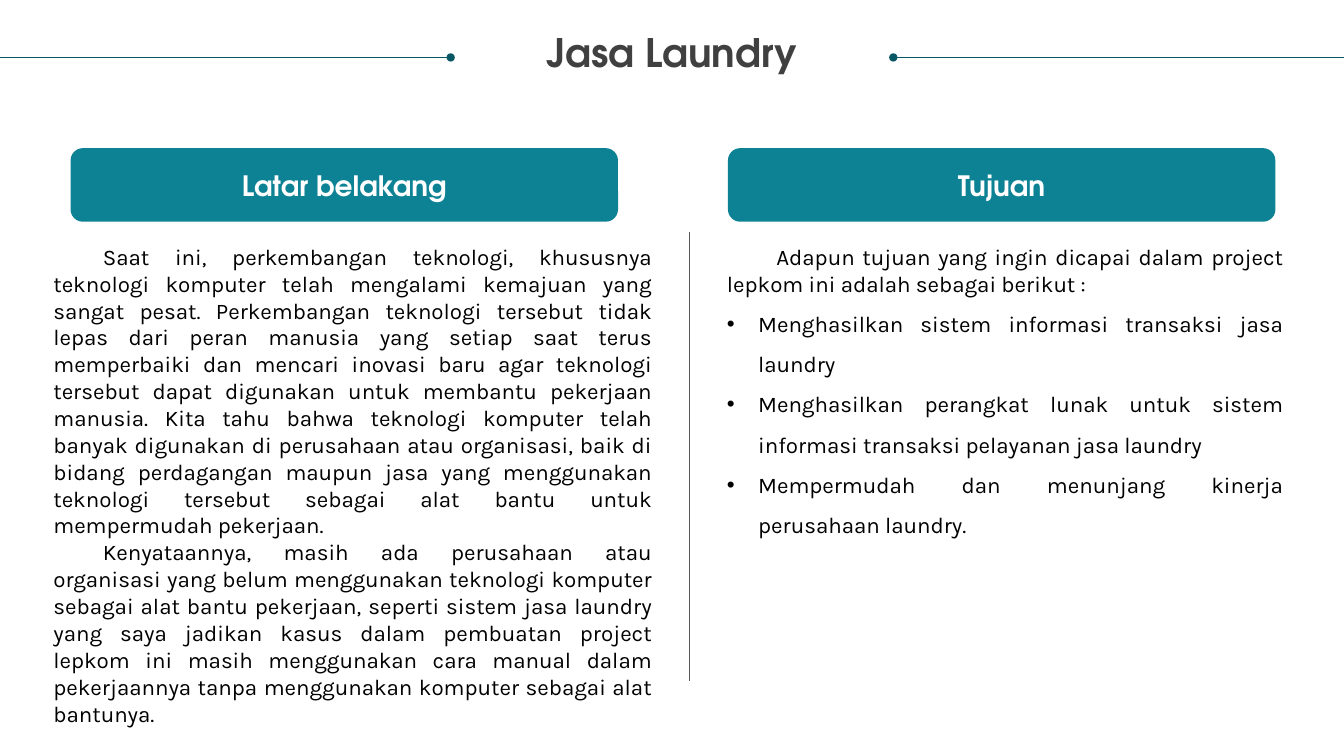
import pptx
import pptx.util
import pptx.dml.color
import pptx.enum.shapes
import pptx.enum.text
import pptx.oxml.ns
import lxml.etree

Inches = pptx.util.Inches
Pt = pptx.util.Pt
ALIGN = pptx.enum.text.PP_ALIGN


def color(hex_code):
    return pptx.dml.color.RGBColor.from_string(hex_code)


def add_xml(parent, tag, **attributes):
    return lxml.etree.SubElement(parent, pptx.oxml.ns.qn(tag), **attributes)


class SlideBuilder:
    """Holds the slide's style and draws each kind of element."""

    heading_font, body_font = "TeX Gyre Adventor", "Karla"
    teal, dark_teal = "0D8295", "085764"
    first_indent, bullet_indent = 0.49, 0.31

    def __init__(self, slide):
        self.slide = slide

    def format_runs(self, paragraph, font_name, size, hex_code, bold=False):
        for run in paragraph.runs:
            run.font.name = font_name
            run.font.size = Pt(size)
            run.font.bold = bold
            run.font.color.rgb = color(hex_code)

    def text_frame(self, left, top, width, height):
        box = self.slide.shapes.add_textbox(
            Inches(left), Inches(top), Inches(width), Inches(height))
        frame = box.text_frame
        frame.word_wrap = True
        frame.margin_left = frame.margin_right = 0
        frame.margin_top = frame.margin_bottom = 0
        return frame

    def title(self, text, left, top, width, height):
        paragraph = self.text_frame(left, top, width, height).paragraphs[0]
        paragraph.text = text
        paragraph.alignment = ALIGN.CENTER
        paragraph.line_spacing = 0.9
        self.format_runs(paragraph, self.heading_font, 28, "404040", bold=True)

    def line(self, start, end, hex_code, dot_at_end=False):
        connector = self.slide.shapes.add_connector(
            pptx.enum.shapes.MSO_CONNECTOR.STRAIGHT,
            *[Inches(value) for value in (*start, *end)])
        connector.line.color.rgb = color(hex_code)
        connector.line.width = Pt(0.5)
        if dot_at_end:
            add_xml(connector.line._get_or_add_ln(), "a:tailEnd", type="oval")
        add_xml(connector._element.spPr, "a:effectLst")

    def banner(self, text, left, top, width, height):
        banner = self.slide.shapes.add_shape(
            pptx.enum.shapes.MSO_SHAPE.ROUNDED_RECTANGLE,
            Inches(left), Inches(top), Inches(width), Inches(height))
        banner.shadow.inherit = False
        banner.fill.solid()
        banner.fill.fore_color.rgb = color(self.teal)
        banner.line.fill.background()
        banner.text_frame.vertical_anchor = pptx.enum.text.MSO_ANCHOR.MIDDLE
        paragraph = banner.text_frame.paragraphs[0]
        paragraph.text = text
        paragraph.alignment = ALIGN.CENTER
        self.format_runs(paragraph, self.heading_font, 20, "FFFFFF", bold=True)

    def body(self, left, top, width, height, prose, bullets=()):
        frame = self.text_frame(left, top, width, height)
        frame.text = "\n".join([*prose, *bullets])
        for index, paragraph in enumerate(frame.paragraphs):
            paragraph.alignment = ALIGN.JUSTIFY
            self.format_runs(paragraph, self.body_font, 16, "000000")
            properties = paragraph._p.get_or_add_pPr()
            if index < len(prose):
                properties.set("indent", str(Inches(self.first_indent)))
            else:
                paragraph.line_spacing = 1.5
                properties.set("marL", str(Inches(self.bullet_indent)))
                properties.set("indent", str(-Inches(self.bullet_indent)))
                add_xml(properties, "a:buFont", typeface="Arial")
                add_xml(properties, "a:buChar", char="•")


background = [
    "Saat ini, perkembangan teknologi, khususnya teknologi komputer telah "
    "mengalami kemajuan yang sangat pesat. Perkembangan teknologi tersebut "
    "tidak lepas dari peran manusia yang setiap saat terus memperbaiki dan "
    "mencari inovasi baru agar teknologi tersebut dapat digunakan untuk "
    "membantu pekerjaan manusia. Kita tahu bahwa teknologi komputer telah "
    "banyak digunakan di perusahaan atau organisasi, baik di bidang "
    "perdagangan maupun jasa yang menggunakan teknologi tersebut sebagai "
    "alat bantu untuk mempermudah pekerjaan.",
    "Kenyataannya, masih ada perusahaan atau organisasi yang belum "
    "menggunakan teknologi komputer sebagai alat bantu pekerjaan, seperti "
    "sistem jasa laundry yang saya jadikan kasus dalam pembuatan project "
    "lepkom ini masih menggunakan cara manual dalam pekerjaannya tanpa "
    "menggunakan komputer sebagai alat bantunya.",
]
goal_intro = ["Adapun tujuan yang ingin dicapai dalam project lepkom ini "
              "adalah sebagai berikut :"]
goals = [
    "Menghasilkan sistem informasi transaksi jasa laundry",
    "Menghasilkan perangkat lunak untuk sistem informasi transaksi "
    "pelayanan jasa laundry",
    "Mempermudah dan menunjang kinerja perusahaan laundry.",
]

presentation = pptx.Presentation()
presentation.slide_width = Inches(13.33)
presentation.slide_height = Inches(7.5)
builder = SlideBuilder(
    presentation.slides.add_slide(presentation.slide_layouts[6]))

builder.title("Jasa Laundry", 0.25, 0.33, 12.83, 0.73)
for edge, dot in ((0, 4.47), (13.33, 8.86)):
    builder.line((edge, 0.57), (dot, 0.57), builder.dark_teal, dot_at_end=True)
for heading, left in (("Latar belakang", 0.7), ("Tujuan", 7.22)):
    builder.banner(heading, left, 1.47, 5.43, 0.73)
builder.line((6.84, 2.3), (6.84, 6.76), "585858")
builder.body(0.53, 2.41, 5.94, 4.75, background)
builder.body(7.21, 2.41, 5.52, 2.56, goal_intro, goals)

presentation.save("out.pptx")
